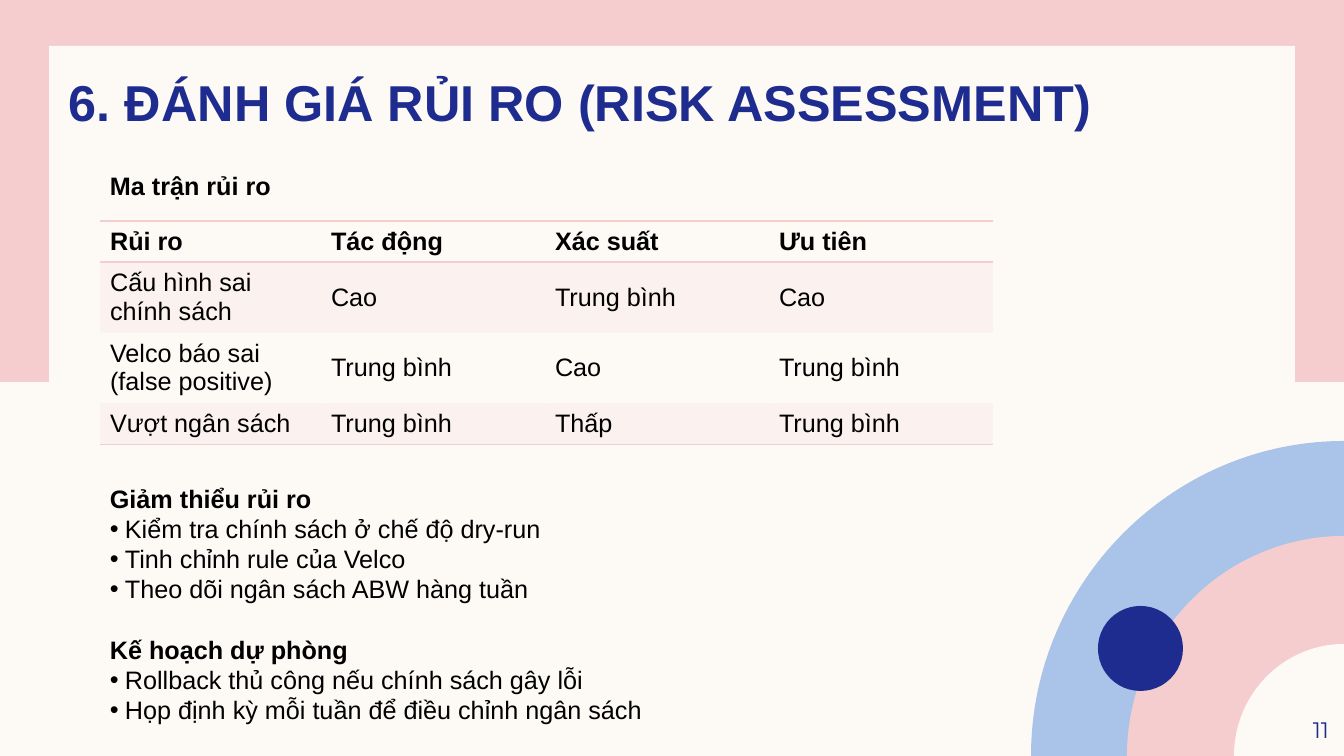
import lxml.etree
import pptx
import pptx.dml.color
import pptx.enum.shapes
import pptx.enum.text
import pptx.oxml.ns
import pptx.util

RGB = pptx.dml.color.RGBColor
PINK = RGB(0xF5, 0xCD, 0xCE)
CREAM = RGB(0xFD, 0xFA, 0xF6)
BLUE = RGB(0xAA, 0xC3, 0xE8)
NAVY = RGB(0x1F, 0x2C, 0x8F)
BLACK = RGB(0, 0, 0)

SCALE = 914400 / 100.8
WIDE, HIGH = 1344, 756
SHAPE = pptx.enum.shapes.MSO_SHAPE
ALIGN = pptx.enum.text.PP_ALIGN
ANCHOR = pptx.enum.text.MSO_ANCHOR

RISKS = [
    ["Rủi ro", "Tác động", "Xác suất", "Ưu tiên"],
    ["Cấu hình sai chính sách", "Cao", "Trung bình", "Cao"],
    ["Velco báo sai (false positive)", "Trung bình", "Cao", "Trung bình"],
    ["Vượt ngân sách", "Trung bình", "Thấp", "Trung bình"],
]
PLANS = [
    ("Giảm thiểu rủi ro", [
        "Kiểm tra chính sách ở chế độ dry-run",
        "Tinh chỉnh rule của Velco",
        "Theo dõi ngân sách ABW hàng tuần",
    ]),
    ("Kế hoạch dự phòng", [
        "Rollback thủ công nếu chính sách gây lỗi",
        "Họp định kỳ mỗi tuần để điều chỉnh ngân sách",
    ]),
]


def px(size):
    return pptx.util.Emu(round(size * SCALE))


def add_node(parent, tag, **attrs):
    return lxml.etree.SubElement(parent, pptx.oxml.ns.qn(tag), attrs)


def paint(shape, color):
    shape.shadow.inherit = False
    shape.fill.solid()
    shape.fill.fore_color.rgb = color
    shape.line.fill.background()


def add_block(slide, kind, box, color):
    paint(slide.shapes.add_shape(kind, *map(px, box)), color)


def add_arc(slide, wide, high, color):
    """Fill a quarter ellipse set in the bottom right corner."""
    pen = slide.shapes.build_freeform(px(WIDE), px(HIGH))
    pen.add_line_segments([(px(WIDE - wide), px(HIGH)),
                           (px(WIDE), px(HIGH - high))], close=True)
    shape = pen.convert_to_shape()
    paint(shape, color)
    side = list(shape._element.iter(pptx.oxml.ns.qn("a:lnTo")))[-1]
    side.tag = pptx.oxml.ns.qn("a:cubicBezTo")
    for i, (x, y) in enumerate([(0, 0.45), (0.45, 0)]):
        point = add_node(side, "a:pt", x=str(px(wide * x)),
                         y=str(px(high * y)))
        side.insert(i, point)


def style(para, size, color, bold=False, font="Arial"):
    for run in para.runs:
        run.font.name = font
        run.font.size = pptx.util.Pt(size)
        run.font.bold = bold
        run.font.color.rgb = color


def add_box(slide, box, anchor=ANCHOR.TOP):
    frame = slide.shapes.add_textbox(*map(px, box)).text_frame
    frame.word_wrap = True
    frame.vertical_anchor = anchor
    return frame


def add_label(slide, box, text, size, color, anchor=ANCHOR.TOP):
    frame = add_box(slide, box, anchor)
    frame.text = text
    style(frame.paragraphs[0], size, color, True)
    return frame


def set_bullet(para):
    props = para._p.get_or_add_pPr()
    props.set("marL", str(px(15)))
    props.set("indent", str(-px(15)))
    add_node(props, "a:buFont", typeface="Arial")
    add_node(props, "a:buChar", char="•")


def add_plans(slide, box):
    frame = add_box(slide, box)
    lines = [(text, i == 0) for head, items in PLANS
             for i, text in enumerate([head, *items])]
    for i, (text, head) in enumerate(lines):
        para = frame.add_paragraph() if i else frame.paragraphs[0]
        para.text = text
        style(para, 18, BLACK, head)
        if not head:
            set_bullet(para)
        elif i:
            para.space_before = pptx.util.Pt(21.5)


def set_edges(cell, shown):
    props = cell._tc.get_or_add_tcPr()
    for side in "LRTB":
        line = add_node(props, "a:ln" + side, w=str(pptx.util.Pt(1)))
        if side in shown:
            fill = add_node(line, "a:solidFill")
            add_node(fill, "a:srgbClr", val=str(PINK))
        else:
            add_node(line, "a:noFill")


def tint(cell):
    cell.fill.solid()
    cell.fill.fore_color.rgb = PINK
    fill = cell._tc.tcPr.find(pptx.oxml.ns.qn("a:solidFill"))
    add_node(fill[0], "a:alpha", val="20000")


def add_risks(slide, box):
    edges = {0: "TB", 1: "T", 3: "B"}
    grid = slide.shapes.add_table(len(RISKS), 4, *map(px, box)).table
    grid.first_row = grid.horz_banding = False
    for col, wide in zip(grid.columns, [221, 224, 224, 224]):
        col.width = px(wide)
    for r, (row, high) in enumerate(zip(RISKS, [41, 70, 70, 41])):
        grid.rows[r].height = px(high)
        for c, text in enumerate(row):
            cell = grid.cell(r, c)
            cell.text = text
            cell.vertical_anchor = ANCHOR.MIDDLE
            style(cell.text_frame.paragraphs[0], 18, BLACK, r == 0)
            set_edges(cell, edges.get(r, ""))
            if r % 2:
                tint(cell)
            else:
                cell.fill.background()


def main():
    deck = pptx.Presentation()
    deck.slide_width, deck.slide_height = px(WIDE), px(HIGH)
    slide = deck.slides.add_slide(deck.slide_layouts[6])
    slide.background.fill.solid()
    slide.background.fill.fore_color.rgb = CREAM

    add_block(slide, SHAPE.RECTANGLE, (0, 0, WIDE, 382), PINK)
    add_block(slide, SHAPE.RECTANGLE, (49, 46, 1246, 664), CREAM)
    add_arc(slide, 313, 315, BLUE)
    add_arc(slide, 217, 220, PINK)
    add_arc(slide, 110, 112, CREAM)
    add_block(slide, SHAPE.OVAL, (1098, 606, 85, 85), NAVY)

    title = add_label(slide, (59, 54, 1124, 78),
                      "6. ĐÁNH GIÁ RỦI RO (RISK ASSESSMENT)", 36, NAVY,
                      ANCHOR.BOTTOM)
    title.margin_top = title.margin_bottom = 0

    number = add_box(slide, (1211, 704, 118, 52), ANCHOR.MIDDLE)
    number.margin_right = 0
    number.text = "11"
    number.paragraphs[0].alignment = ALIGN.RIGHT
    style(number.paragraphs[0], 16, NAVY, font="Montserrat")

    add_label(slide, (100, 165, 673, 40), "Ma trận rủi ro", 18, BLACK)
    add_risks(slide, (100, 221, 893, 222))
    add_plans(slide, (100, 478, 673, 254))
    deck.save("out.pptx")


if __name__ == "__main__":
    main()
